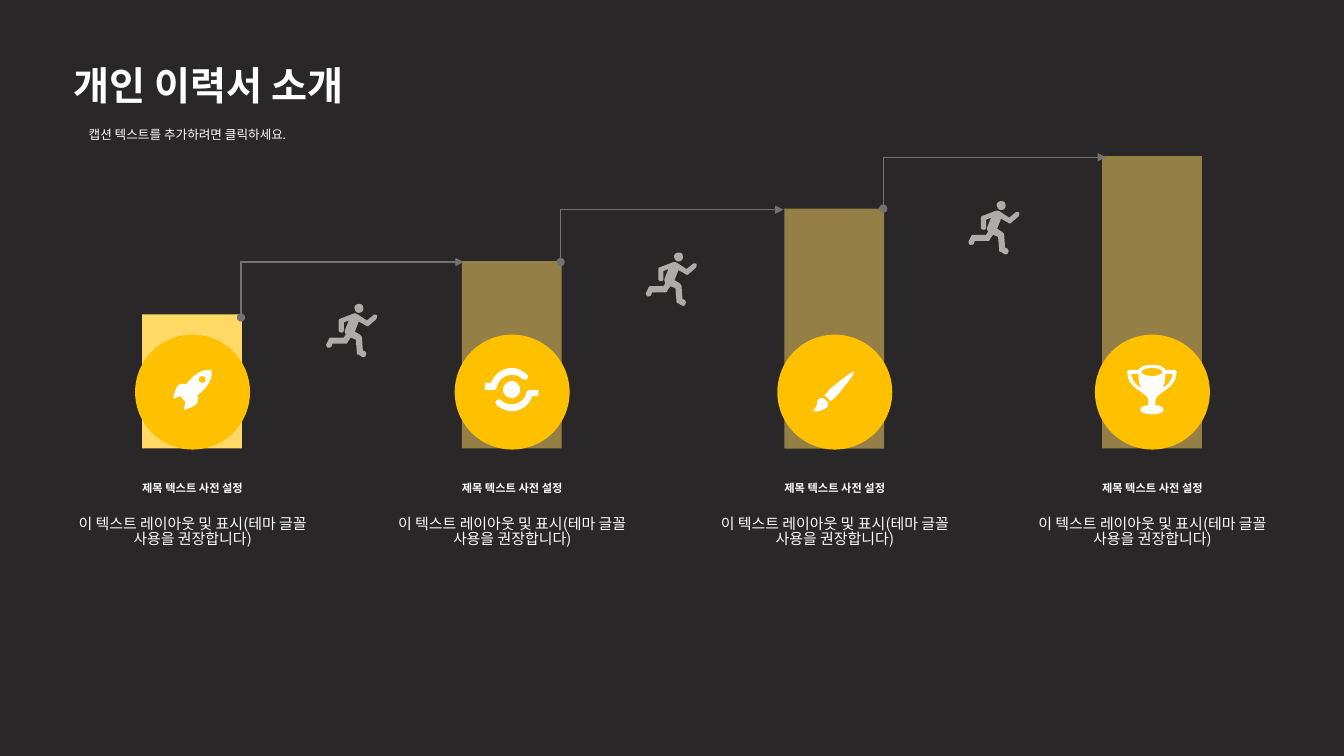
from pptx import Presentation
from pptx.dml.color import RGBColor
from pptx.enum.shapes import MSO_SHAPE as Preset
from pptx.enum.text import MSO_ANCHOR as Anchor, MSO_AUTO_SIZE as AutoSize, PP_ALIGN as Align
from pptx.oxml.ns import qn
from pptx.util import Inches, Pt
from lxml.etree import SubElement

CHARCOAL = RGBColor(0x29, 0x27, 0x27)
WHITE = RGBColor(0xFF, 0xFF, 0xFF)
AMBER = RGBColor(0xFF, 0xC0, 0x00)
PALE_AMBER = RGBColor(0xFF, 0xD9, 0x66)
SILVER = RGBColor(0xAF, 0xAB, 0xAB)
GRAY = RGBColor(0x76, 0x71, 0x71)

ROCKET = """M 27,12 C 26,11 26,8 27,7 29,6 31,6 32,7 33,8 33,11 32,12 31,13 29,13 27,12
M 25,25 C 25,25 41,14 39,1 39,0 39,0 38,0 25,-2 14,14 14,14 4,13 5,15 1,26 0,28 1,29 3,28
4,27 8,26 8,26 L 13,32 C 13,32 12,36 12,37 11,39 12,40 14,39 24,35 26,35 25,25"""
ORBIT = """M 45,22 C 42,22 41,24 41,25 40,31 34,36 27,36 22,36 19,35 16,32 15,31 13,31 12,32
10,33 10,35 12,37 15,40 21,43 27,43 36,43 44,37 47,28 L 53,28 53,22 45,22
M 12,18 C 14,12 19,7 27,7 31,7 34,8 37,11 38,12 40,12 42,11 43,10 43,8 42,7
38,3 32,0 27,0 17,0 9,7 6,15 L 0,15 0,22 9,22 C 11,22 12,19 12,18
M 18,22 C 18,26 22,30 27,30 31,30 35,26 35,22 35,17 31,13 27,13 22,13 18,17 18,22"""
BRUSH = """M 40,0 C 39,-2 21,13 15,18 13,21 12,22 11,23 10,24 11,24 11,24 12,24 13,25 14,26
15,27 15,27 16,29 16,29 16,29 17,29 18,28 19,27 22,25 27,19 42,1 40,0
M 5,27 C 2,30 5,33 0,38 -2,40 8,40 13,35 15,33 15,30 12,28 10,26 7,25 5,27"""
TROPHY = """M 4,9 L 11,9 C 11,15 12,19 14,23 9,20 5,16 4,9
M 25,3 C 32,3 35,6 35,7 35,8 32,11 25,11 17,11 14,8 14,7 14,6 17,3 25,3
M 35,23 C 37,19 38,15 38,9 L 45,9 C 44,16 40,20 35,23
M 28,36 C 28,32 31,30 35,27 41,23 49,18 49,7 49,6 48,5 47,5 L 38,5 C 36,2 32,0 25,0
17,0 13,2 11,5 L 2,5 C 1,5 0,6 0,7 0,18 8,23 14,27 18,30 21,32 21,36 L 21,40
C 16,40 13,42 13,45 13,47 18,49 25,49 31,49 36,47 36,45 36,42 33,40 28,40 L 28,36"""
RUNNER = """M 34,9 C 36,8 37,6 36,3 36,1 33,0 30,1 28,2 27,4 28,6 29,9 31,10 34,9
M 50,12 C 49,11 47,11 46,12 L 40,17 31,11 29,10 27,10 14,15 C 13,15 12,16 12,17
L 12,27 C 12,28 13,29 15,29 16,29 17,28 17,27 L 17,19 22,17 18,27 C 18,28 18,29 19,31
L 17,34 4,34 C 3,34 2,35 2,36 L 0,40 C -1,41 0,43 1,44 3,44 5,44 5,42 L 6,40 18,40
C 20,40 21,40 21,38 L 24,34 29,36 30,49 C 30,50 30,51 32,51 L 35,53
C 37,54 39,53 39,51 40,50 39,48 37,47 L 36,47 35,34 C 35,33 34,32 33,31 L 28,28 32,18 39,22
C 40,23 41,23 42,22 L 49,16 C 50,15 50,13 50,12"""

HEADING = "제목 텍스트 사전 설정"
DETAIL = "이 텍스트 레이아웃 및 표시(테마 글꼴 사용을 권장합니다)"
BAR_BOTTOM = 4.45
STEPS = [
    (1.41, 3.12, ROCKET, 0.30, 3.67),
    (4.58, 2.59, ORBIT, 0.23, 3.65),
    (7.78, 2.07, BRUSH, 0.29, 3.69),
    (10.93, 1.55, TROPHY, 0.25, 3.62),
]
CLIMB_STARTS = [3.15, 2.60, 2.07]


def outline(drawing, steps=6):
    """Turn a drawing in hundredths of an inch into lists of points in inches."""
    contours, command, controls = [], "", []
    for token in drawing.split():
        if token.isalpha():
            command = token
            continue
        point = tuple(int(part) / 100 for part in token.split(","))
        if command == "M":
            contours.append([point])
        elif command == "L":
            contours[-1].append(point)
        else:
            controls.append(point)
            if len(controls) == 3:
                curve = [contours[-1][-1], *controls]
                for t in (n / steps for n in range(1, steps + 1)):
                    weights = ((1 - t) ** 3, 3 * t * (1 - t) ** 2, 3 * t * t * (1 - t), t ** 3)
                    contours[-1].append(tuple(
                        sum(w * p[axis] for w, p in zip(weights, curve)) for axis in (0, 1)))
                controls = []
    return contours


class Deck:
    """Hold the style and the current slide."""

    font = "Noto Sans CJK KR"

    def __init__(self):
        """Start a dark widescreen slide with a title."""
        self.show = Presentation()
        self.show.slide_width, self.show.slide_height = Inches(13.33), Inches(7.5)
        self.slide = self.show.slides.add_slide(self.show.slide_layouts[5])
        self.slide.background.fill.solid()
        self.slide.background.fill.fore_color.rgb = CHARCOAL

    def set_words(self, box, words, size, bold=False, align=Align.LEFT, anchor=Anchor.TOP,
                  inset=0.0, spacing=1.0, wrap=True):
        """Fill a text holder with one styled paragraph."""
        frame = box.text_frame
        frame.text = words
        frame.auto_size, frame.word_wrap = AutoSize.NONE, wrap
        frame.vertical_anchor = anchor
        frame.margin_left = frame.margin_right = Inches(inset)
        frame.margin_top = frame.margin_bottom = Inches(inset)
        paragraph = frame.paragraphs[0]
        paragraph.alignment, paragraph.line_spacing = align, spacing
        font = paragraph.runs[0].font
        font.name, font.size, font.bold = self.font, Pt(size), bold
        font.color.rgb = WHITE
        SubElement(font._element, qn("a:ea"), typeface=self.font)

    def title(self, words, left, top, width, height):
        """Place and style the title placeholder."""
        holder = self.slide.shapes.title
        holder.left, holder.top = Inches(left), Inches(top)
        holder.width, holder.height = Inches(width), Inches(height)
        self.set_words(holder, words, 28, bold=True, anchor=Anchor.MIDDLE, spacing=0.9)

    def text(self, words, left, top, width, height, size, **style):
        """Add a text box."""
        box = self.slide.shapes.add_textbox(
            Inches(left), Inches(top), Inches(width), Inches(height))
        self.set_words(box, words, size, **style)

    def paint(self, shape, color):
        """Give a shape a flat fill without line or shadow."""
        shape.shadow.inherit = False
        shape.fill.solid()
        shape.fill.fore_color.rgb = color
        shape.line.fill.background()

    def preset(self, kind, left, top, width, height, color, opacity=100):
        """Add a filled preset shape."""
        shape = self.slide.shapes.add_shape(
            kind, Inches(left), Inches(top), Inches(width), Inches(height))
        self.paint(shape, color)
        if opacity < 100:
            tint = shape._element.spPr.find(f"{qn('a:solidFill')}/{qn('a:srgbClr')}")
            SubElement(tint, qn("a:alpha"), val=str(opacity * 1000))

    def icon(self, drawing, left, top, color):
        """Add a filled icon from its drawing."""
        contours = [[(Inches(left + x), Inches(top + y)) for x, y in contour]
                    for contour in outline(drawing)]
        builder = self.slide.shapes.build_freeform(*contours[0][0])
        builder.add_line_segments(contours[0][1:])
        for start, *rest in contours[1:]:
            builder.move_to(*start)
            builder.add_line_segments(rest)
        self.paint(builder.convert_to_shape(), color)

    def climb(self, left, start, end, width):
        """Add a bent arrow that goes up and then right."""
        builder = self.slide.shapes.build_freeform(Inches(left), Inches(start))
        builder.add_line_segments(
            [(Inches(left), Inches(end)), (Inches(left + width), Inches(end))], close=False)
        arrow = builder.convert_to_shape()
        arrow.shadow.inherit = False
        arrow.fill.background()
        arrow.line.color.rgb, arrow.line.width = GRAY, Pt(1)
        stroke = arrow._element.spPr.find(qn("a:ln"))
        SubElement(stroke, qn("a:headEnd"), type="oval")
        SubElement(stroke, qn("a:tailEnd"), type="triangle")


def main():
    """Build the staircase of career steps."""
    deck = Deck()
    deck.title("개인 이력서 소개", 0.73, 0.64, 3.07, 0.47)
    deck.text("캡션 텍스트를 추가하려면 클릭하세요.", 0.88, 1.26, 2.4, 0.15, 9, anchor=Anchor.MIDDLE)
    centered = {"align": Align.CENTER, "inset": 0.04, "spacing": 0.83}
    for index, (left, top, symbol, symbol_shift, symbol_top) in enumerate(STEPS):
        deck.preset(Preset.RECTANGLE, left, top, 0.99, BAR_BOTTOM - top, PALE_AMBER,
                    50 if index else 100)
        deck.preset(Preset.OVAL, left - 0.07, 3.32, 1.14, 1.14, AMBER)
        deck.icon(symbol, left + symbol_shift, symbol_top, WHITE)
        deck.text(DETAIL, left - 0.69, 5.1, 2.38, 0.86, 10.7, **centered)
        deck.text(HEADING, left - 0.69, 4.76, 2.38, 0.38, 8, bold=True, wrap=False, **centered)
    for index, start in enumerate(CLIMB_STARTS):
        left, next_top = STEPS[index][0], STEPS[index + 1][1]
        deck.climb(left + 0.98, start, next_top + 0.01, 2.21)
        deck.icon(RUNNER, left + 1.83, 3.01 - 0.51 * index, SILVER)
    deck.show.save("out.pptx")


if __name__ == "__main__":
    main()
